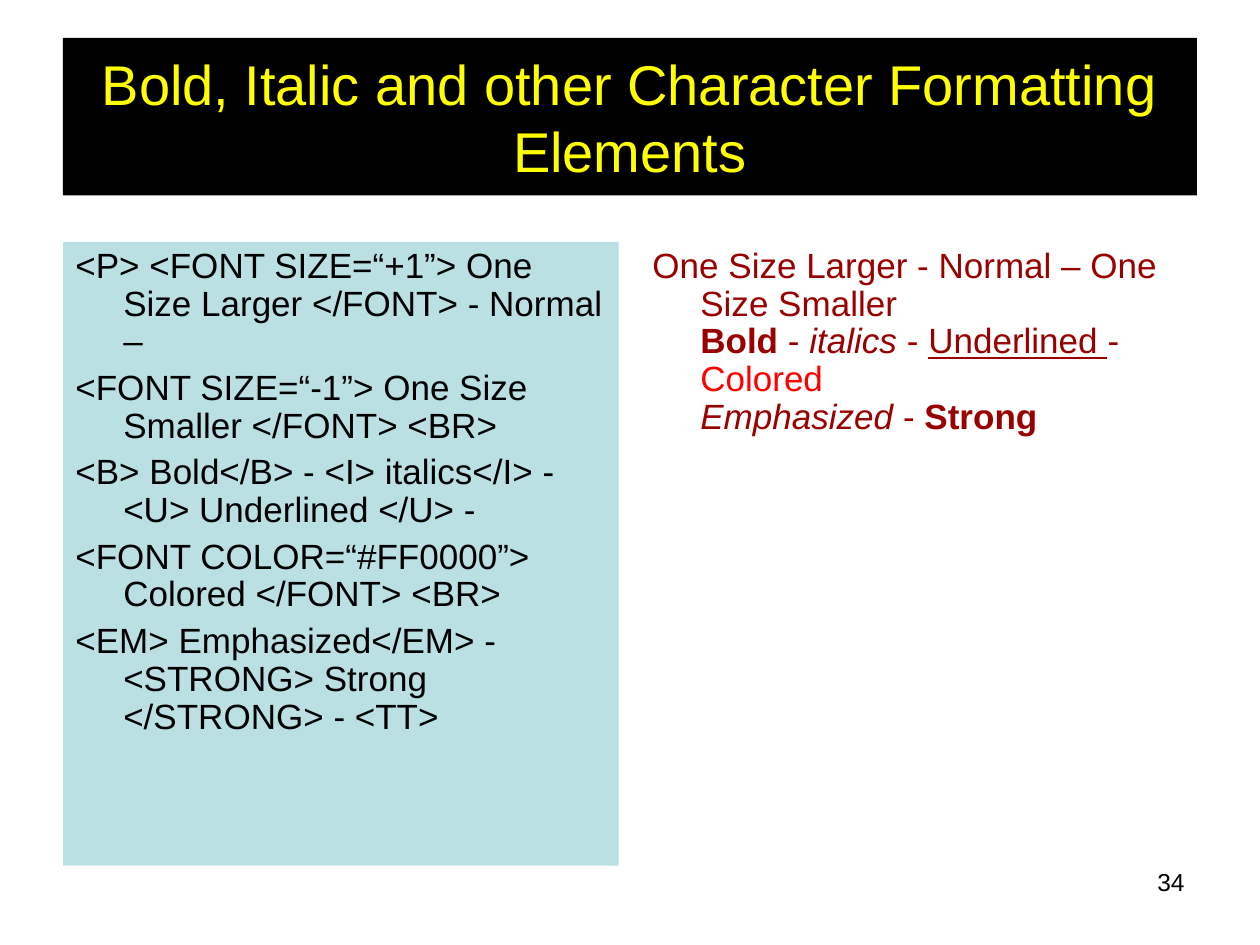
from dataclasses import dataclass
from typing import Optional

from pptx import Presentation
from pptx.dml.color import RGBColor as Rgb
from pptx.enum.shapes import MSO_SHAPE as Kind
from pptx.enum.text import MSO_ANCHOR as Anchor, PP_ALIGN as Align
from pptx.util import Inches, Pt

HUES = {"black": "000000", "yellow": "FFFF00", "teal": "BBE0E3",
        "maroon": "990000", "red": "FF0000"}


@dataclass
class Bit:
    text: str
    bold: Optional[bool] = None
    slant: Optional[bool] = None
    under: Optional[bool] = None
    hue: Optional[str] = None
    end: bool = False


@dataclass
class Box:
    left: float
    top: float
    width: float
    height: float
    paras: list[list[Bit]]
    size: int
    hue: str
    fill: Optional[str] = None
    align: Align = Align.LEFT
    anchor: Anchor = Anchor.TOP
    hang: float = 0


def color(name: str) -> Rgb:
    return Rgb.from_string(HUES[name])


def add_bit(para, bit: Bit) -> None:
    run = para.add_run()
    run.text = bit.text
    font = run.font
    font.bold, font.italic, font.underline = bit.bold, bit.slant, bit.under
    if bit.hue:
        font.color.rgb = color(bit.hue)
    if bit.end:
        para.add_line_break()


def add_para(para, bits: list[Bit], box: Box, first: bool) -> None:
    para.alignment = box.align
    if box.hang:
        props = para._p.get_or_add_pPr()
        props.set("marL", str(Inches(box.hang)))
        props.set("indent", str(Inches(-box.hang)))
        para.line_spacing = 0.9
        para.space_before = Pt(0 if first else 5)
    para.font.name = "Arial"
    para.font.size = Pt(box.size)
    para.font.color.rgb = color(box.hue)
    for bit in bits:
        add_bit(para, bit)


def add_box(slide, box: Box) -> None:
    area = [Inches(n) for n in (box.left, box.top, box.width, box.height)]
    if box.fill:
        shape = slide.shapes.add_shape(Kind.RECTANGLE, *area)
        shape.shadow.inherit = False
        shape.fill.solid()
        shape.fill.fore_color.rgb = color(box.fill)
        shape.line.fill.background()
    else:
        shape = slide.shapes.add_textbox(*area)
    frame = shape.text_frame
    frame.word_wrap = True
    frame.vertical_anchor = box.anchor
    for i, bits in enumerate(box.paras):
        para = frame.add_paragraph() if i else frame.paragraphs[0]
        add_para(para, bits, box, i == 0)


CODE = [
    "<P> <FONT SIZE=“+1”> One Size Larger </FONT> - Normal –",
    "<FONT SIZE=“-1”> One Size Smaller </FONT> <BR>",
    "<B> Bold</B> - <I> italics</I> - <U> Underlined </U> -",
    "<FONT COLOR=“#FF0000”> Colored </FONT> <BR>",
    "<EM> Emphasized</EM> - <STRONG> Strong </STRONG> - <TT>",
]
RESULT = [
    Bit("One Size Larger - Normal – One Size Smaller ", end=True),
    Bit("Bold", bold=True), Bit(" - "),
    Bit("italics", slant=True), Bit(" - "),
    Bit("Underlined ", under=True), Bit("- "),
    Bit("Colored ", hue="red", end=True),
    Bit("Emphasized", slant=True), Bit(" - "),
    Bit("Strong", bold=True),
]
TITLE = "Bold, Italic and other Character Formatting Elements"

BOXES = [
    Box(7.17, 6.83, 2.33, 0.52, [[Bit("34")]], 14, "black", align=Align.RIGHT),
    Box(0.5, 0.3, 9, 1.25, [[Bit(TITLE)]], 32, "yellow", "black",
        Align.CENTER, Anchor.MIDDLE),
    Box(0.5, 1.92, 4.41, 4.95, [[Bit(line)] for line in CODE], 20, "black",
        "teal", hang=0.38),
    Box(5.08, 1.92, 4.41, 4.95, [RESULT], 20, "maroon", hang=0.38),
]


def main() -> None:
    deck = Presentation()
    deck.slide_width, deck.slide_height = Inches(10), Inches(7.5)
    slide = deck.slides.add_slide(deck.slide_layouts[6])
    for box in BOXES:
        add_box(slide, box)
    deck.save("out.pptx")


if __name__ == "__main__":
    main()
